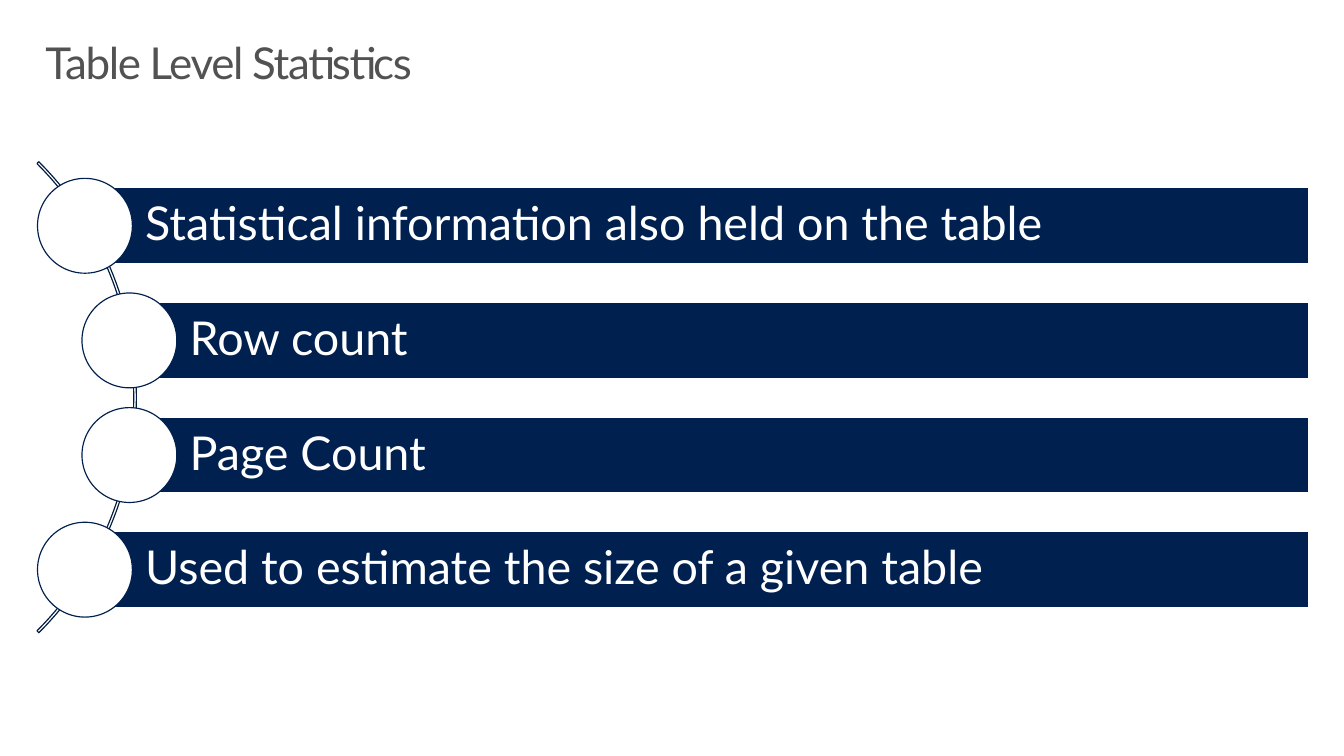
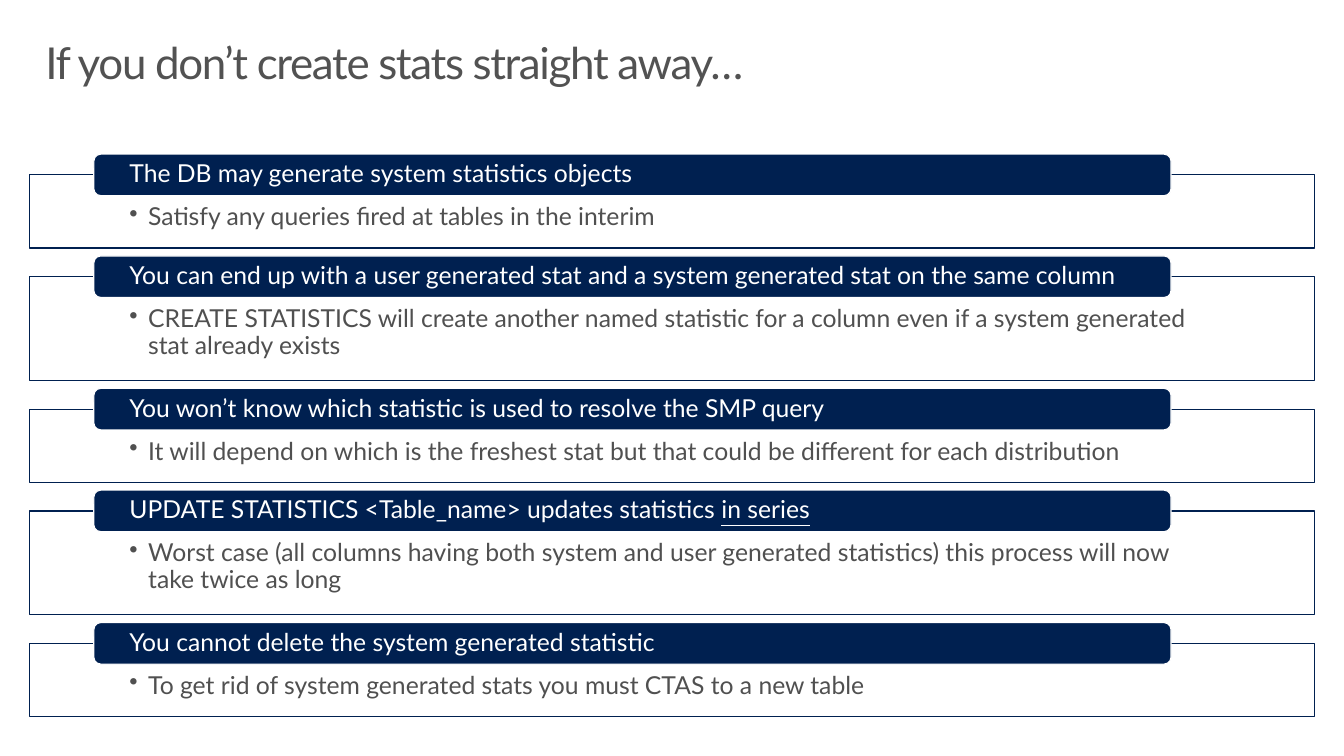
from lxml import etree
from pptx import Presentation
from pptx.dml.color import RGBColor
from pptx.enum.shapes import MSO_SHAPE
from pptx.enum.text import MSO_ANCHOR, MSO_AUTO_SIZE, PP_ALIGN
from pptx.oxml.ns import qn
from pptx.util import Inches, Pt

BLOCK_ARC, ELLIPSE = MSO_SHAPE.BLOCK_ARC, MSO_SHAPE.OVAL
RECTANGLE, ROUNDED = MSO_SHAPE.RECTANGLE, MSO_SHAPE.ROUNDED_RECTANGLE
TOP, MIDDLE = MSO_ANCHOR.TOP, MSO_ANCHOR.MIDDLE

FONT = "Lato"
COLORS = {"navy": "002050", "arc": "001A40", "white": "FFFFFF",
          "title": "525252", "body": "505050"}
LINE_WIDTH = 0.85
TITLE_BOX = (0.3, 0.32, 13, 1)

TABLE_TITLE = "Table Level Statistics"
# Bar text, left edge of its circle
TABLE_FACTS = [
    ("Statistical information also held on the table", 0.38),
    ("Row count", 0.83),
    ("Page Count", 0.83),
    ("Used to estimate the size of a given table", 0.38),
]

DELAY_TITLE = "If you don’t create stats straight away…"
# Heading, underlined end of the heading, detail, lines of detail
DELAY_EFFECTS = [
    ("The DB may generate system statistics objects", "",
     "Satisfy any queries fired at tables in the interim", 1),
    ("You can end up with a user generated stat and a system generated stat "
     "on the same column", "",
     "CREATE STATISTICS will create another named statistic for a column even "
     "if a system generated stat already exists", 2),
    ("You won’t know which statistic is used to resolve the SMP query", "",
     "It will depend on which is the freshest stat but that could be "
     "different for each distribution", 1),
    ("UPDATE STATISTICS <Table_name> updates statistics ", "in series",
     "Worst case (all columns having both system and user generated "
     "statistics) this process will now take twice as long", 2),
    ("You cannot delete the system generated statistic", "",
     "To get rid of system generated stats you must CTAS to a new table", 1),
]


def color(name):
    return RGBColor.from_string(COLORS[name])


def add_box(page, kind, place, fill, line):
    box = page.shapes.add_shape(kind, *map(Inches, place))
    box.shadow.inherit = False
    if fill:
        box.fill.solid()
        box.fill.fore_color.rgb = color(fill)
    else:
        box.fill.background()
    box.line.color.rgb = color(line)
    box.line.width = Pt(LINE_WIDTH)
    return box


def write(box, text, size, text_color, insets, anchor, underlined=""):
    """Fill a shape with one left-aligned paragraph and return it."""
    frame = box.text_frame
    frame.text = text
    frame.word_wrap = True
    frame.auto_size = MSO_AUTO_SIZE.NONE
    frame.vertical_anchor = anchor
    (frame.margin_left, frame.margin_top,
     frame.margin_right, frame.margin_bottom) = map(Inches, insets)
    para = frame.paragraphs[0]
    para.alignment = PP_ALIGN.LEFT
    para.line_spacing = 0.9
    if underlined:
        span = para.add_run()
        span.text = underlined
        span.font.underline = True
    for span in para.runs:
        span.font.name = FONT
        span.font.size = Pt(size)
        span.font.color.rgb = color(text_color)
    return para


def add_bullet(para, indent):
    properties = para._p.get_or_add_pPr()
    properties.set("marL", str(Inches(indent)))
    properties.set("indent", str(-Inches(indent)))
    etree.SubElement(properties, qn("a:buChar")).set("char", "•")


def add_page(deck, title):
    page = deck.slides.add_slide(deck.slide_layouts[5])
    box = page.shapes.title
    box.left, box.top, box.width, box.height = map(Inches, TITLE_BOX)
    para = write(box, title, 32, "title", (0.16, 0.1, 0.16, 0.1), TOP)
    para.runs[0].font._element.set("spc", "-100")
    return page


def add_table_facts(page):
    top, pitch, bar_height, right = 1.9, 1.16, 0.77, 13.24
    circle = 0.96
    arc = add_box(page, BLOCK_ARC, (-5.36, 0.65, 6.74, 6.74), None, "arc")
    for index, value in enumerate((189, 27, 0.004)):
        arc.adjustments[index] = value
    for index, (text, circle_left) in enumerate(TABLE_FACTS):
        bar_top = top + index * pitch
        bar_left = circle_left + circle / 2
        bar = add_box(page, RECTANGLE,
                      (bar_left, bar_top, right - bar_left, bar_height),
                      "navy", "white")
        write(bar, text, 34, "white", (0.61, 0.09, 0.09, 0.09), MIDDLE)
        circle_top = bar_top + (bar_height - circle) / 2
        add_box(page, ELLIPSE, (circle_left, circle_top, circle, circle),
                "white", "navy")


def add_delay_effects(page):
    top, gap, header_height = 1.77, 0.29, 0.42
    panel_heights = {1: 0.74, 2: 1.05}
    for heading, underlined, detail, lines in DELAY_EFFECTS:
        height = panel_heights[lines]
        panel = add_box(page, RECTANGLE, (0.3, top, 13, height),
                        "white", "navy")
        para = write(panel, detail, 18, "body", (1.01, 0.3, 1.01, 0.14), TOP)
        add_bullet(para, 0.19)
        header = add_box(page, ROUNDED,
                         (0.95, top - header_height / 2, 10.9, header_height),
                         "navy", "white")
        write(header, heading, 18, "white", (0.34, 0, 0.34, 0), MIDDLE,
              underlined)
        top += height + gap


def main():
    deck = Presentation()
    deck.slide_width, deck.slide_height = Inches(13.6), Inches(7.65)
    add_table_facts(add_page(deck, TABLE_TITLE))
    add_delay_effects(add_page(deck, DELAY_TITLE))
    deck.save("out.pptx")


if __name__ == "__main__":
    main()
